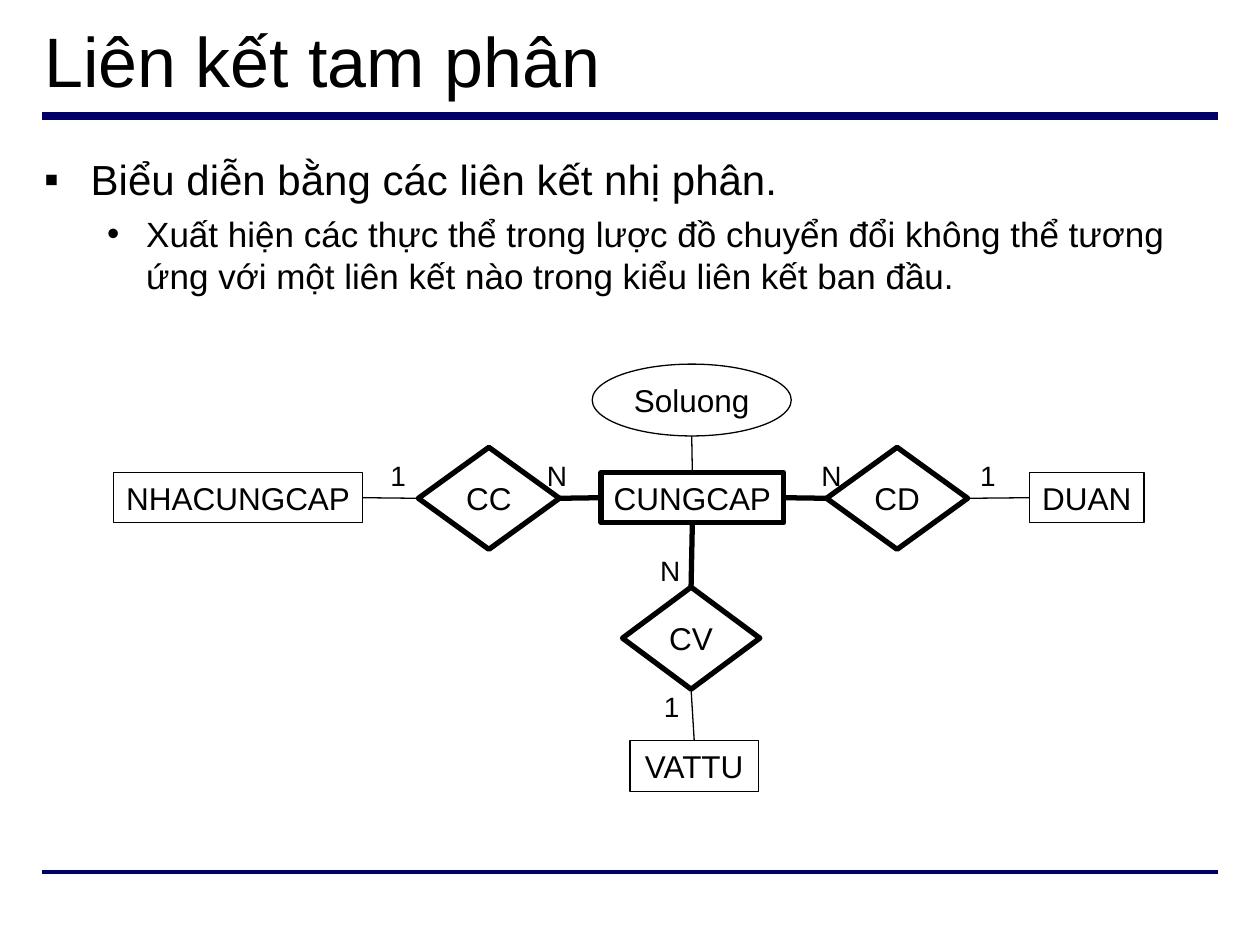
from dataclasses import dataclass

from lxml.etree import SubElement
from pptx import Presentation
from pptx.dml.color import RGBColor
from pptx.enum.shapes import MSO_CONNECTOR, MSO_SHAPE
from pptx.enum.text import MSO_ANCHOR, MSO_AUTO_SIZE, PP_ALIGN
from pptx.oxml.ns import qn
from pptx.util import Emu, Pt

EMU_PER_PX = 9144  # 100 px to the inch
TOP, LEFT, BOTTOM, RIGHT = range(4)


@dataclass(frozen=True)
class Theme:
    font: str = "Arial"
    ink: RGBColor = RGBColor(0, 0, 0)
    rule: RGBColor = RGBColor(0, 0, 0x66)
    paper: RGBColor = RGBColor(255, 255, 255)
    title: int = 40
    body: int = 24
    sub: int = 20
    node: int = 18
    label: int = 16
    thin: float = 0.75
    thick: float = 3


@dataclass(frozen=True)
class Node:
    text: str
    kind: MSO_SHAPE
    box: tuple[int, int, int, int]
    width: float
    filled: bool = False


@dataclass(frozen=True)
class Link:
    start: str
    start_site: int
    end: str
    end_site: int
    width: float


@dataclass(frozen=True)
class Bullet:
    text: str
    level: int
    char: str
    size: int
    margin: int
    hanging: int
    before: int


THEME = Theme()
RULES = [(92, 4.5), (692, 2.25)]
BULLETS = [
    Bullet("Biểu diễn bằng các liên kết nhị phân.", 0, "▪", THEME.body, 37, 37, 0),
    Bullet("Xuất hiện các thực thể trong lược đồ chuyển đổi không thể tương ứng với "
           "một liên kết nào trong kiểu liên kết ban đầu.", 1, "•", THEME.sub, 81, 31, 5),
]
RECT, DIAMOND = MSO_SHAPE.RECTANGLE, MSO_SHAPE.DIAMOND
NODES = [
    Node("NHACUNGCAP", RECT, (90, 375, 198, 40), THEME.thin),
    Node("DUAN", RECT, (817, 375, 91, 40), THEME.thin),
    Node("VATTU", RECT, (500, 588, 102, 40), THEME.thin),
    Node("CUNGCAP", RECT, (477, 375, 145, 40), THEME.thick),
    Node("CC", DIAMOND, (332, 355, 112, 81), THEME.thick),
    Node("CD", DIAMOND, (656, 355, 112, 81), THEME.thick),
    Node("CV", DIAMOND, (494, 466, 109, 81), THEME.thick),
    Node("Soluong", MSO_SHAPE.OVAL, (470, 289, 158, 57), THEME.thin, filled=True),
]
LINKS = [
    Link("NHACUNGCAP", RIGHT, "CC", LEFT, THEME.thin),
    Link("CC", RIGHT, "CUNGCAP", LEFT, THEME.thick),
    Link("CUNGCAP", RIGHT, "CD", LEFT, THEME.thick),
    Link("CD", RIGHT, "DUAN", LEFT, THEME.thin),
    Link("CUNGCAP", BOTTOM, "CV", TOP, THEME.thick),
    Link("CV", BOTTOM, "VATTU", TOP, THEME.thin),
]
LABELS = [
    ("1", (300, 359, 32, 37)), ("1", (517, 542, 32, 37)), ("1", (768, 359, 32, 37)),
    ("N", (424, 359, 36, 37)), ("N", (514, 434, 36, 37)), ("N", (642, 359, 36, 37)),
]


def px(n: int) -> Emu:
    return Emu(n * EMU_PER_PX)


def place(sp, box: tuple[int, int, int, int]) -> None:
    sp.left, sp.top, sp.width, sp.height = map(px, box)


def write(p, text: str, *, size: int, align=PP_ALIGN.LEFT, before: int = 0) -> None:
    p.alignment = align
    p.space_before = Pt(before)
    r = p.add_run()
    r.text = text
    r.font.name = THEME.font
    r.font.size = Pt(size)
    r.font.bold = False
    r.font.color.rgb = THEME.ink


def set_frame(tf, anchor, wrap: bool) -> None:
    tf.auto_size = MSO_AUTO_SIZE.NONE
    tf.word_wrap = wrap
    tf.vertical_anchor = anchor
    tf.margin_left = tf.margin_right = px(10)
    tf.margin_top = tf.margin_bottom = px(5)


def add_line(s, start: tuple[int, int], end: tuple[int, int], color: RGBColor, width: float):
    line = s.shapes.add_connector(MSO_CONNECTOR.STRAIGHT, *map(px, start + end))
    line.line.color.rgb = color
    line.line.width = Pt(width)
    SubElement(line._element.spPr, qn("a:effectLst"))
    return line


def add_node(s, node: Node):
    sp = s.shapes.add_shape(node.kind, *map(px, node.box))
    sp.shadow.inherit = False
    if node.filled:
        sp.fill.solid()
        sp.fill.fore_color.rgb = THEME.paper
    else:
        sp.fill.background()
    sp.line.color.rgb = THEME.ink
    sp.line.width = Pt(node.width)
    set_frame(sp.text_frame, MSO_ANCHOR.MIDDLE, wrap=False)
    write(sp.text_frame.paragraphs[0], node.text, size=THEME.node, align=PP_ALIGN.CENTER)
    return sp


def add_link(s, link: Link, shapes: dict) -> None:
    line = add_line(s, (0, 0), (0, 0), THEME.ink, link.width)
    line.begin_connect(shapes[link.start], link.start_site)
    line.end_connect(shapes[link.end], link.end_site)


def add_label(s, text: str, box: tuple[int, int, int, int]) -> None:
    sp = s.shapes.add_textbox(*map(px, box))
    set_frame(sp.text_frame, MSO_ANCHOR.MIDDLE, wrap=False)
    write(sp.text_frame.paragraphs[0], text, size=THEME.label, align=PP_ALIGN.CENTER)


def add_bullet(p, bullet: Bullet) -> None:
    p.level = bullet.level
    write(p, bullet.text, size=bullet.size, before=bullet.before)
    pPr = p._p.get_or_add_pPr()
    pPr.set("marL", str(px(bullet.margin)))
    pPr.set("indent", str(-px(bullet.hanging)))
    SubElement(pPr, qn("a:buFont"), typeface=THEME.font)
    SubElement(pPr, qn("a:buChar"), char=bullet.char)


def fill_placeholders(s) -> None:
    title, body = s.shapes.title, s.placeholders[1]
    place(title, (25, 9, 950, 77))
    set_frame(title.text_frame, MSO_ANCHOR.MIDDLE, wrap=True)
    write(title.text_frame.paragraphs[0], "Liên kết tam phân", size=THEME.title)

    place(body, (25, 117, 950, 554))
    tf = body.text_frame
    set_frame(tf, MSO_ANCHOR.TOP, wrap=True)
    for i, bullet in enumerate(BULLETS):
        add_bullet(tf.add_paragraph() if i else tf.paragraphs[0], bullet)


def main() -> None:
    prs = Presentation()
    prs.slide_width, prs.slide_height = px(1000), px(750)
    s = prs.slides.add_slide(prs.slide_layouts[1])
    for y, width in RULES:
        add_line(s, (33, y), (967, y), THEME.rule, width)
    fill_placeholders(s)
    shapes = {node.text: add_node(s, node) for node in NODES}
    for link in LINKS:
        add_link(s, link, shapes)
    attribute_line = add_line(s, (549, 346), (549, 375), THEME.ink, THEME.thin)
    attribute_line.end_connect(shapes["CUNGCAP"], TOP)
    for text, box in LABELS:
        add_label(s, text, box)
    prs.save("out.pptx")


if __name__ == "__main__":
    main()
